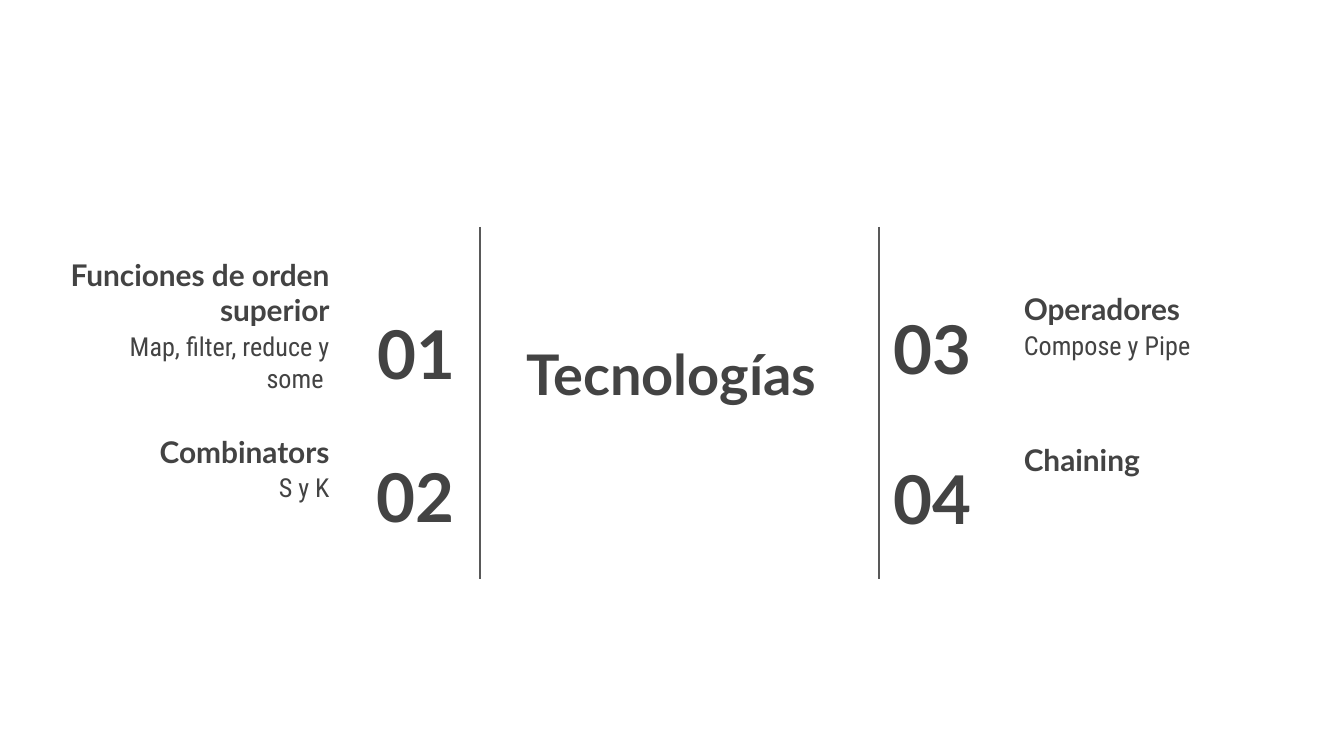
from lxml.etree import SubElement
from pptx import Presentation
from pptx.dml.color import RGBColor
from pptx.enum.shapes import MSO_CONNECTOR
from pptx.enum.text import MSO_ANCHOR as Anchor, PP_ALIGN as Align
from pptx.oxml.ns import qn
from pptx.util import Cm, Pt

COLORS = {"text": "434343", "line": "595959", "background": "FFFFFF"}
HEADING_FONT = "Lato"
BODY_FONT = "Roboto Condensed"
ROW_HEIGHT = 1.6
HEADING_WIDTH = 5.49
BODY_WIDTH = 4.65
BODY_DROP = 1.15
NUMBER_WIDTH = 3.02

LEFT_ITEMS = [
    (4.85, 5.87, 8.86, "01", "Funciones de orden superior", "Map, filter, reduce y some "),
    (7.52, 8.56, 8.83, "02", "Combinators", "S y K"),
]
RIGHT_ITEMS = [
    (4.83, 5.77, 16.64, "03", "Operadores", "Compose y Pipe"),
    (7.67, 8.61, 16.64, "04", "Chaining", ""),
]


def add_text(page, frame, text, size, align, anchor, font=HEADING_FONT, bold=True):
    box = page.shapes.add_textbox(*(Cm(length) for length in frame))
    text_frame = box.text_frame
    text_frame.word_wrap = True
    text_frame.vertical_anchor = anchor
    text_frame.margin_left = text_frame.margin_right = Cm(0.25)
    text_frame.margin_top = text_frame.margin_bottom = Cm(0.25)
    text_frame.text = text
    para = text_frame.paragraphs[0]
    para.alignment = align
    for span in para.runs:
        span.font.name = font
        span.font.size = Pt(size)
        span.font.bold = bold
        span.font.color.rgb = RGBColor.from_string(COLORS["text"])


def add_divider(page, x, top, bottom):
    line = page.shapes.add_connector(
        MSO_CONNECTOR.STRAIGHT, Cm(x), Cm(top), Cm(x), Cm(bottom))
    line.line.color.rgb = RGBColor.from_string(COLORS["line"])
    line.line.width = Pt(0.75)
    SubElement(line._element.spPr, qn("a:effectLst"))


def add_column(page, edge, items, align):
    def left_for(anchor_x, width):
        return anchor_x - width if align == Align.RIGHT else anchor_x

    for top, number_top, number_edge, number, heading, body in items:
        add_text(page, (left_for(edge, HEADING_WIDTH), top, HEADING_WIDTH, ROW_HEIGHT),
                 heading, 16, align, Anchor.BOTTOM)
        if body:
            add_text(page, (left_for(edge, BODY_WIDTH), top + BODY_DROP, BODY_WIDTH, ROW_HEIGHT),
                     body, 14, align, Anchor.TOP, BODY_FONT, False)
        add_text(page, (left_for(number_edge, NUMBER_WIDTH), number_top, NUMBER_WIDTH, ROW_HEIGHT),
                 number, 36, align, Anchor.MIDDLE)


def add_center(page, left, top, width, height):
    add_text(page, (left, top, width, height), "Tecnologías", 30, Align.CENTER, Anchor.MIDDLE)
    for x in (9.07, 16.61):
        add_divider(page, x, 4.29, 10.95)


def main():
    deck = Presentation()
    deck.slide_width = Cm(25.4)
    deck.slide_height = Cm(14.29)
    page = deck.slides.add_slide(deck.slide_layouts[6])
    page.background.fill.solid()
    page.background.fill.fore_color.rgb = RGBColor.from_string(COLORS["background"])
    add_center(page, 9.4, 5.74, 6.58, 2.62)
    add_column(page, 6.48, LEFT_ITEMS, Align.RIGHT)
    add_column(page, 19.1, RIGHT_ITEMS, Align.LEFT)
    deck.save("out.pptx")


if __name__ == "__main__":
    main()
